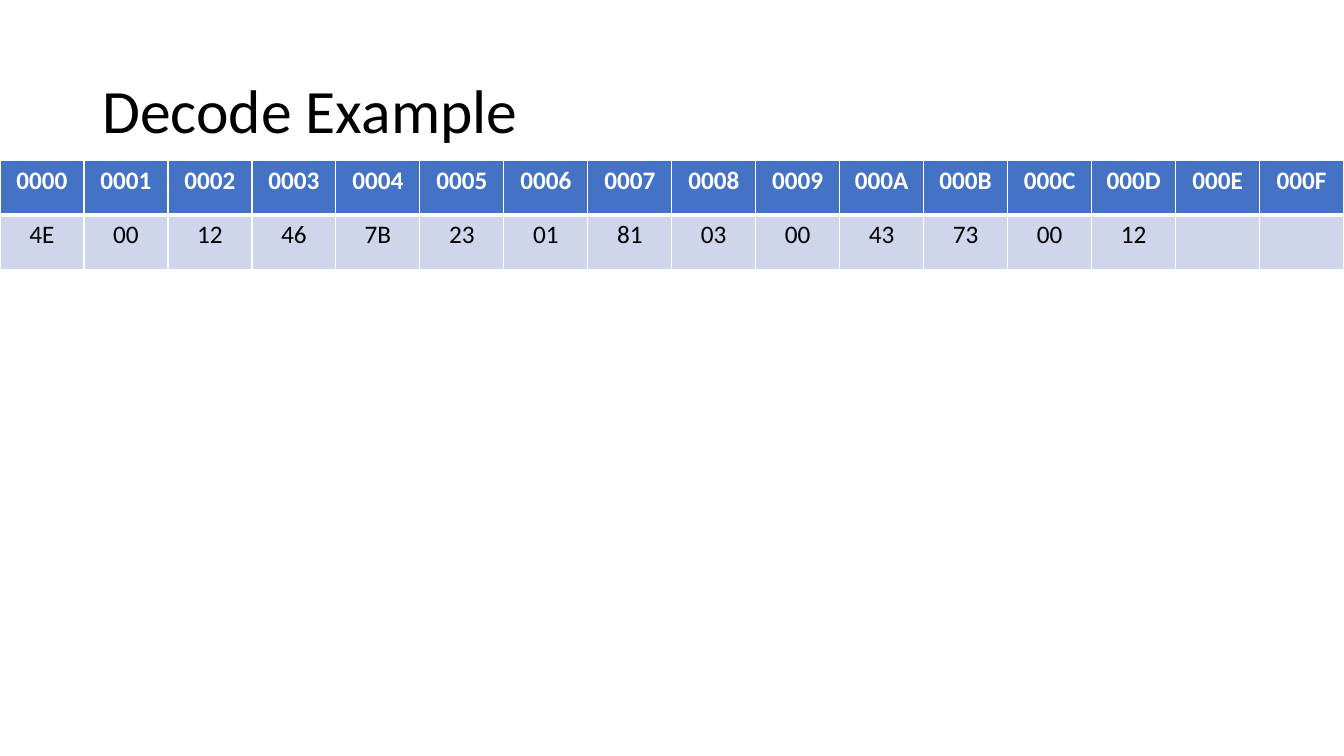
"""Build the decode example slide with its memory table."""
from dataclasses import dataclass

from lxml.etree import SubElement
from pptx import Presentation
from pptx.dml.color import RGBColor
from pptx.enum.text import MSO_ANCHOR, MSO_AUTO_SIZE, PP_ALIGN
from pptx.oxml.ns import qn
from pptx.slide import Slide
from pptx.table import _Cell
from pptx.text.text import TextFrame
from pptx.util import Pt

BLACK = RGBColor(0x00, 0x00, 0x00)
WHITE = RGBColor(0xFF, 0xFF, 0xFF)
BLUE = RGBColor(0x44, 0x72, 0xC4)
PALE_BLUE = RGBColor(0xCF, 0xD5, 0xEA)
FONT = "Calibri"
COLUMN_COUNT = 16
COLUMN_WIDTH = Pt(60)
ROW_HEIGHT = Pt(39)
TABLE_TOP = Pt(114.5)


@dataclass(frozen=True)
class MemoryRow:
    values: list[str]
    fill: RGBColor
    color: RGBColor
    bold: bool
    top_border: float
    bottom_border: float


MEMORY_ROWS = [
    MemoryRow([f"{address:04X}" for address in range(COLUMN_COUNT)],
              BLUE, WHITE, True, 1, 3),
    MemoryRow("4E 00 12 46 7B 23 01 81 03 00 43 73 00 12".split(),
              PALE_BLUE, BLACK, False, 3, 1),
]


def write_text(frame: TextFrame, text: str, *, size: float, color: RGBColor,
               bold: bool = False, align: PP_ALIGN = PP_ALIGN.LEFT,
               line_spacing: float = 1.0) -> None:
    paragraph = frame.paragraphs[0]
    paragraph.alignment = align
    paragraph.line_spacing = line_spacing
    run = paragraph.add_run()
    run.text = text
    run.font.name = FONT
    run.font.size = Pt(size)
    run.font.bold = bold
    run.font.color.rgb = color


def draw_borders(cell: _Cell, top: float, bottom: float) -> None:
    properties = cell._tc.get_or_add_tcPr()
    for side, width in {"L": 1, "R": 1, "T": top, "B": bottom}.items():
        line = SubElement(properties, qn(f"a:ln{side}"), w=str(Pt(width)))
        fill = SubElement(line, qn("a:solidFill"))
        SubElement(fill, qn("a:srgbClr"), val=str(WHITE))


def draw_title(slide: Slide) -> None:
    title = slide.shapes.title
    title.left, title.top, title.width, title.height = Pt(66), Pt(28.75), Pt(828), Pt(104.38)
    frame = title.text_frame
    frame.word_wrap = True
    frame.auto_size = MSO_AUTO_SIZE.NONE
    frame.vertical_anchor = MSO_ANCHOR.MIDDLE
    write_text(frame, "Decode Example", size=44, color=BLACK, line_spacing=0.9)


def draw_memory_table(slide: Slide) -> None:
    table = slide.shapes.add_table(
        len(MEMORY_ROWS), COLUMN_COUNT, Pt(0), TABLE_TOP,
        COLUMN_WIDTH * COLUMN_COUNT, ROW_HEIGHT * len(MEMORY_ROWS)).table
    for row_index, row in enumerate(MEMORY_ROWS):
        for column_index in range(COLUMN_COUNT):
            cell = table.cell(row_index, column_index)
            draw_borders(cell, row.top_border, row.bottom_border)
            cell.fill.solid()
            cell.fill.fore_color.rgb = row.fill
            if column_index < len(row.values):
                write_text(cell.text_frame, row.values[column_index], size=18,
                           color=row.color, bold=row.bold, align=PP_ALIGN.CENTER)


def main() -> None:
    presentation = Presentation()
    presentation.slide_width, presentation.slide_height = Pt(960), Pt(540)
    slide = presentation.slides.add_slide(presentation.slide_layouts[5])
    draw_title(slide)
    draw_memory_table(slide)
    presentation.save("out.pptx")


if __name__ == "__main__":
    main()
